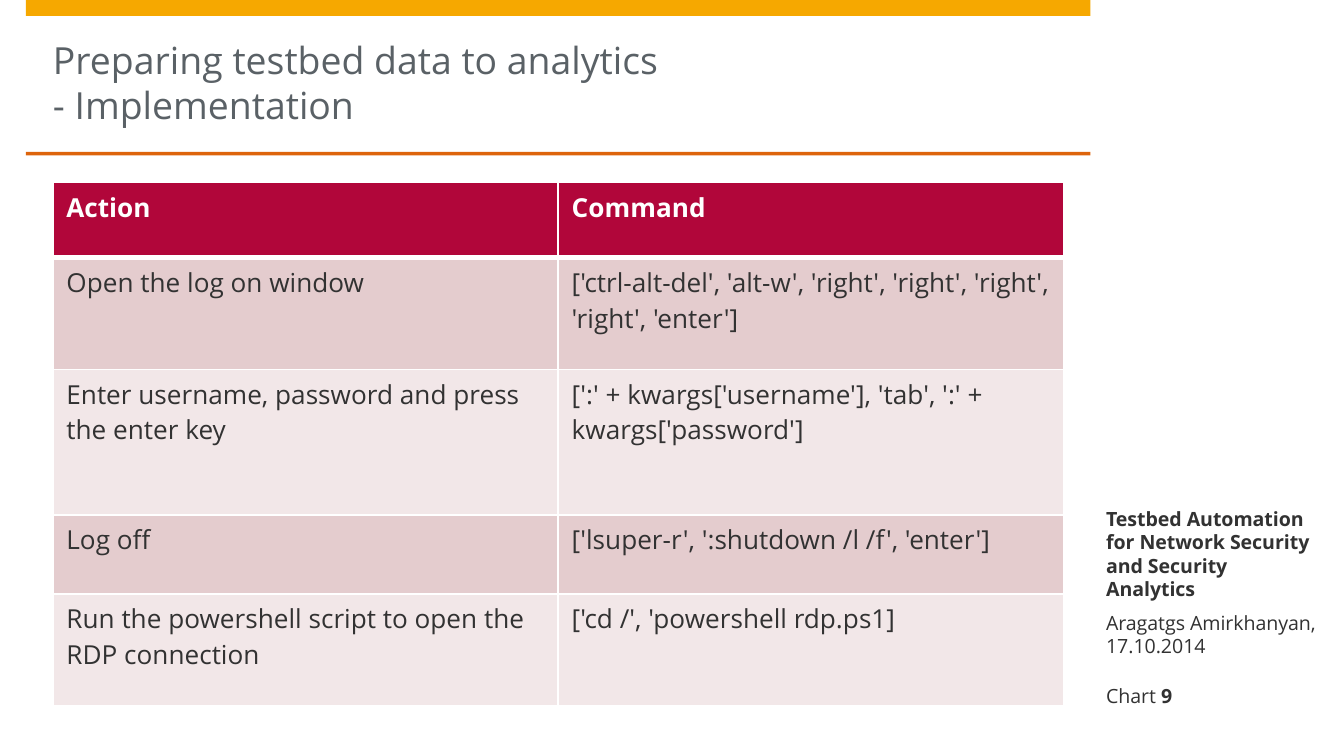
from lxml import etree
from pptx import Presentation
from pptx import util as u
from pptx.dml import color
from pptx.enum import shapes, text
from pptx.oxml import ns

WIDE = u.Inches(10)
HIGH = u.Emu(WIDE * 9 // 16)
FONT = "Open Sans"
HUES = {"gold": "F6A800", "rust": "DD640C", "slate": "5A6166", "ink": "323232",
        "head": "B1063A", "dark": "E4CCCE", "light": "F2E7E8", "white": "FFFFFF"}
ROWS = [
    ("Action", "Command"),
    ("Open the log on window ",
     "['ctrl-alt-del', 'alt-w', 'right', 'right', 'right', 'right', 'enter']"),
    ("Enter username, password and press the enter key",
     "[':' + kwargs['username'], 'tab', ':' + kwargs['password']"),
    ("Log off", "['lsuper-r', ':shutdown /l /f', 'enter']"),
    ("Run the powershell script to open the RDP connection",
     "['cd /', 'powershell rdp.ps1]"),
]
TALL = [9.96, 14.77, 19.22, 10.5, 14.77]


def hue(name):
    """Return a named colour."""
    return color.RGBColor.from_string(HUES[name])


def across(share):
    """Turn a percentage of the slide width into a length."""
    return u.Emu(int(WIDE * share / 100))


def down(share):
    """Turn a percentage of the slide height into a length."""
    return u.Emu(int(HIGH * share / 100))


def place(left, top, width, height):
    """Turn a box in percentages into lengths."""
    return across(left), down(top), across(width), down(height)


def style(run, size, ink, bold=False):
    """Format one run."""
    font = run.font
    font.name, font.size, font.bold = FONT, u.Pt(size), bold
    font.color.rgb = hue(ink)


def add_bar(slide, top, height, fill):
    """Draw a plain band over the content column."""
    bar = slide.shapes.add_shape(shapes.MSO_SHAPE.RECTANGLE,
                                 *place(1.93, top, 79.2, height))
    bar.shadow.inherit = False
    bar.fill.solid()
    bar.fill.fore_color.rgb = hue(fill)
    bar.line.fill.background()


def add_text(slide, box, words, size, ink, bold=False, inset=(0, 0), low=False):
    """Add a text box with tight lines and return its paragraph."""
    frame = slide.shapes.add_textbox(*place(*box)).text_frame
    frame.word_wrap = True
    frame.margin_left, frame.margin_top = map(u.Inches, inset)
    frame.margin_right = frame.margin_bottom = 0
    anchor = text.MSO_ANCHOR
    frame.vertical_anchor = anchor.BOTTOM if low else anchor.TOP
    para = frame.paragraphs[0]
    para.text = words
    para.line_spacing = u.Pt(size * 1.2)
    for run in para.runs:
        style(run, size, ink, bold)
    return para


def add_edge(cell, side, width):
    """Give one side of a cell a white border."""
    line = etree.SubElement(cell._tc.get_or_add_tcPr(), ns.qn("a:ln" + side),
                            w=str(u.Pt(width)))
    fill = etree.SubElement(line, ns.qn("a:solidFill"))
    etree.SubElement(fill, ns.qn("a:srgbClr"), val=HUES["white"])


def fill_cell(cell, words, row):
    """Set the borders, fill and text of one cell."""
    head = row == 0
    for side in "LRTB":
        thick = (head and side == "B") or (row == 1 and side == "T")
        add_edge(cell, side, 3 if thick else 1)
    cell.fill.solid()
    shade = "head" if head else ("light", "dark")[row % 2]
    cell.fill.fore_color.rgb = hue(shade)
    cell.text_frame.text = words
    style(cell.text_frame.paragraphs[0].runs[0], 14,
          "white" if head else "ink", head)


def add_grid(slide):
    """Add the table of actions and commands."""
    grid = slide.shapes.add_table(len(ROWS), 2,
                                  *place(3.94, 24.15, 75.2, sum(TALL))).table
    for row, (tall, pair) in enumerate(zip(TALL, ROWS)):
        grid.rows[row].height = down(tall)
        for col, words in enumerate(pair):
            fill_cell(grid.cell(row, col), words, row)


def add_side(slide):
    """Add the talk, author and page number beside the table."""
    def note(top, height, words, **more):
        return add_text(slide, (81.1, top, 16.9, height), words, 10.5, "ink",
                        inset=(0.12, 0), **more)

    note(69.33, 10.13, "Testbed Automation for Network Security "
         "and Security Analytics", bold=True, low=True)
    note(80.75, 9.07, "Aragatgs Amirkhanyan, 17.10.2014")
    page = note(89.96, 3.56, "Chart ", low=True).add_run()
    page.text = "9"
    style(page, 10.5, "ink", True)


def main():
    """Build and save the slide."""
    deck = Presentation()
    deck.slide_width, deck.slide_height = WIDE, HIGH
    slide = deck.slides.add_slide(deck.slide_layouts[6])
    add_bar(slide, 0, 2.1, "gold")
    add_bar(slide, 20.07, 0.5, "rust")
    add_text(slide, (3.94, 2.13, 75.2, 17.96),
             "Preparing testbed data to analytics\v- Implementation",
             20, "slate", inset=(0, 0.16))
    add_side(slide)
    add_grid(slide)
    deck.save("out.pptx")


main()
